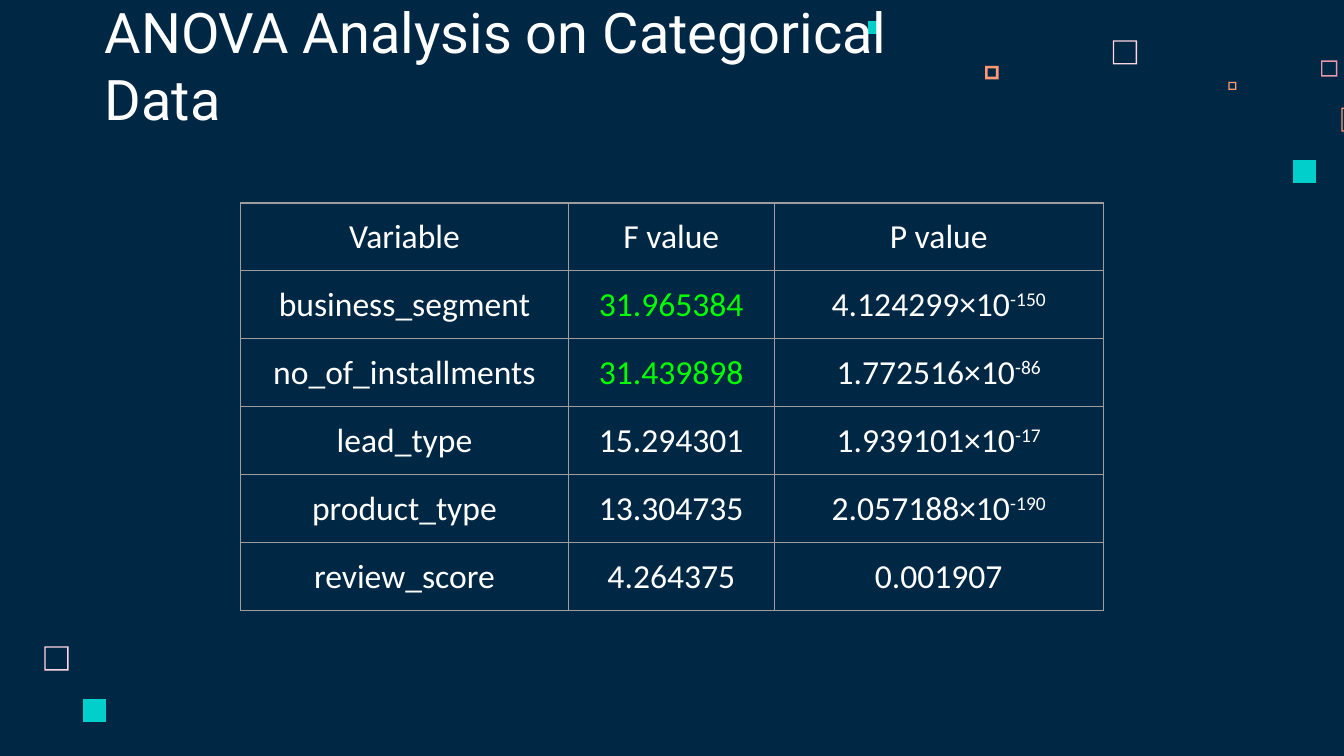
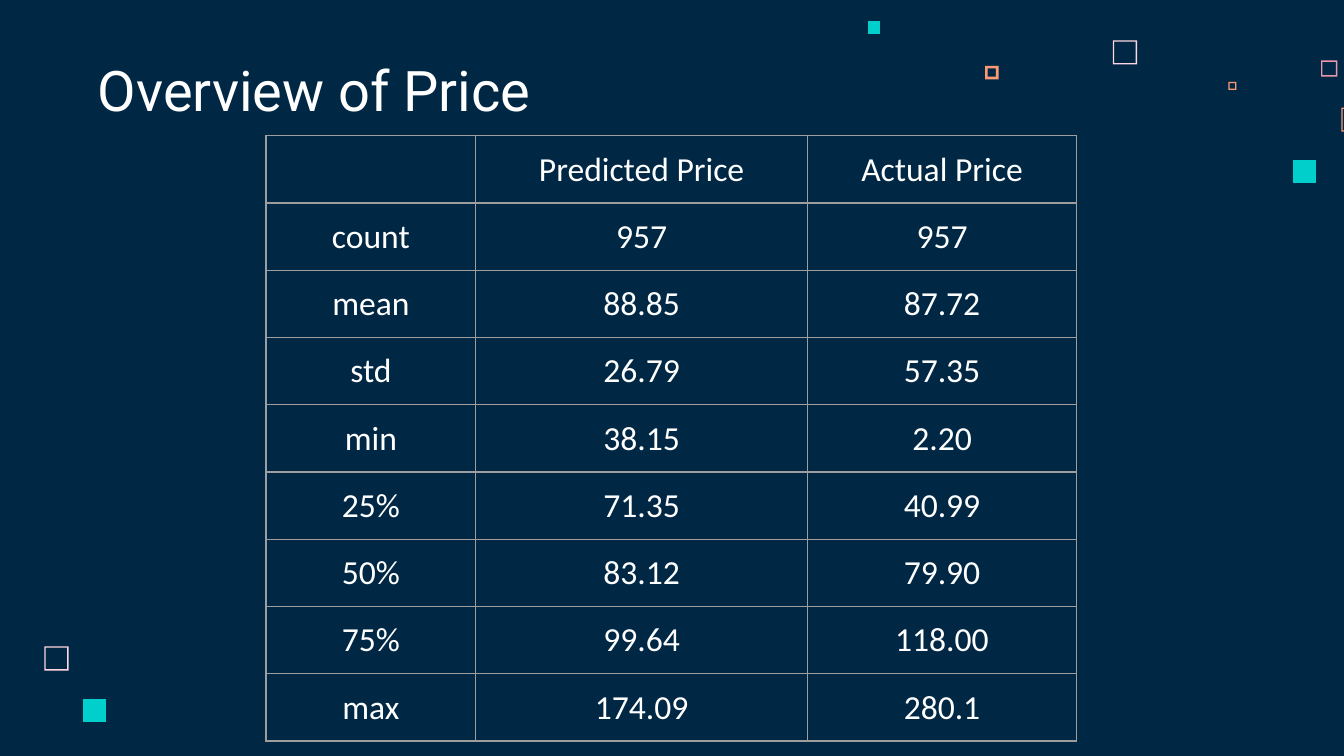
"""Build the two result slides: the ANOVA table and the price overview."""
from dataclasses import dataclass

from lxml.etree import SubElement
from pptx import Presentation
from pptx.dml.color import RGBColor
from pptx.enum.text import MSO_ANCHOR as Anchor, PP_ALIGN as Align
from pptx.oxml.ns import qn
from pptx.slide import Slide
from pptx.table import _Cell as Cell
from pptx.util import Inches, Pt

NAVY, WHITE, GREY, GREEN = "002845", "FFFFFF", "9E9E9E", "00FF00"
TEAL, ORANGE, PINK, ROSE = "00CFCC", "FF9973", "FFD6E1", "E898AC"
TITLE_FONT, TABLE_FONT = "Roboto", "Calibri"
INSET = Inches(0.1)
TABLE_FRAME = Inches(3.28)


@dataclass(frozen=True)
class Square:
    """A decorative square, hollow when it has a rim."""
    left: float
    top: float
    side: float
    color: str
    rim: float = 0


@dataclass(frozen=True)
class Page:
    """A title with the table below it."""
    title: str
    title_left: float
    title_top: float
    title_width: float
    table_left: float
    table_top: float
    column_widths: tuple[float, ...]
    row_height: float
    rows: tuple[tuple[str, ...], ...]
    highlights: tuple[str, ...] = ()


SQUARES = (
    Square(8.28, 0.3, 0.18, PINK, 0.01),
    Square(9.83, 0.45, 0.12, ROSE, 0.01),
    Square(9.14, 0.61, 0.06, ORANGE, 0.01),
    Square(9.98, 0.8, 0.18, ORANGE, 0.01),
    Square(9.62, 1.19, 0.17, TEAL),
    Square(7.33, 0.49, 0.1, ORANGE, 0.02),
    Square(6.46, 0.16, 0.09, TEAL),
    Square(0.33, 4.81, 0.18, PINK, 0.01),
    Square(0.62, 5.2, 0.17, TEAL),
)

ANOVA = Page(
    "ANOVA Analysis on Categorical Data", 0.68, 0.45, 6.42,
    1.79, 1.51, (2.44, 1.53, 2.45), 0.42,
    (
        ("Variable", "F value", "P value"),
        ("business_segment", "31.965384", "4.124299×10^-150"),
        ("no_of_installments", "31.439898", "1.772516×10^-86"),
        ("lead_type", "15.294301", "1.939101×10^-17"),
        ("product_type", "13.304735", "2.057188×10^-190"),
        ("review_score", "4.264375", "0.001907"),
    ),
    highlights=("31.965384", "31.439898"),
)

PRICE = Page(
    "Overview of Price", 0.63, 0.38, 5.17,
    1.98, 1.01, (1.56, 2.47, 2), 0.48,
    (
        ("", "Predicted Price", "Actual Price"),
        ("count", "957", "957"),
        ("mean", "88.85", "87.72"),
        ("std", "26.79", "57.35"),
        ("min", "38.15", "2.20"),
        ("25%", "71.35", "40.99"),
        ("50%", "83.12", "79.90"),
        ("75%", "99.64", "118.00"),
        ("max", "174.09", "280.1"),
    ),
)


def rgb(color: str) -> RGBColor:
    """Turn a hex string into a colour."""
    return RGBColor.from_string(color)


def add_run(paragraph, text: str, font: str, size: float, color: str):
    """Append one styled run and return it."""
    run = paragraph.add_run()
    run.text = text
    run.font.name = font
    run.font.size = Pt(size)
    run.font.color.rgb = rgb(color)
    return run


def set_insets(holder) -> None:
    """Give a text frame or cell the same margin on all sides."""
    holder.margin_left = holder.margin_right = INSET
    holder.margin_top = holder.margin_bottom = INSET


def draw_square(slide: Slide, square: Square) -> None:
    """Draw a square, with a hole wound the other way if it has a rim."""
    left, top = Inches(square.left), Inches(square.top)
    right, bottom = left + Inches(square.side), top + Inches(square.side)
    outline = slide.shapes.build_freeform(left, top)
    outline.add_line_segments([(left, bottom), (right, bottom), (right, top)])
    if square.rim:
        rim = Inches(square.rim)
        left, top, right, bottom = left + rim, top + rim, right - rim, bottom - rim
        outline.move_to(right, top)
        outline.add_line_segments([(right, bottom), (left, bottom), (left, top)])
    shape = outline.convert_to_shape()
    shape.shadow.inherit = False
    shape.fill.solid()
    shape.fill.fore_color.rgb = rgb(square.color)
    shape.line.fill.background()


def draw_title(slide: Slide, page: Page) -> None:
    """Draw the title, sitting on the bottom of its box."""
    box = slide.shapes.add_textbox(
        Inches(page.title_left), Inches(page.title_top),
        Inches(page.title_width), Inches(0.63))
    frame = box.text_frame
    frame.word_wrap = True
    frame.vertical_anchor = Anchor.BOTTOM
    set_insets(frame)
    add_run(frame.paragraphs[0], page.title, TITLE_FONT, 30, WHITE)


def add_borders(cell: Cell) -> None:
    """Draw a thin grey line on each side of a cell."""
    properties = cell._tc.get_or_add_tcPr()
    for side in ("a:lnL", "a:lnR", "a:lnT", "a:lnB"):
        border = SubElement(properties, qn(side), w=str(Pt(0.75)))
        fill = SubElement(border, qn("a:solidFill"))
        SubElement(fill, qn("a:srgbClr"), val=GREY)


def fill_cell(cell: Cell, text: str, color: str) -> None:
    """Style a cell and write its text, raising what follows a caret."""
    set_insets(cell)
    add_borders(cell)
    cell.fill.background()
    paragraph = cell.text_frame.paragraphs[0]
    paragraph.alignment = Align.CENTER
    base, _, exponent = text.partition("^")
    if base:
        add_run(paragraph, base, TABLE_FONT, 18, color)
    if exponent:
        raised = add_run(paragraph, exponent, TABLE_FONT, 18, color)
        raised._r.get_or_add_rPr().set("baseline", "30000")


def draw_table(slide: Slide, page: Page) -> None:
    """Draw the table with an unfilled grid that grows out of its frame."""
    holder = slide.shapes.add_table(
        len(page.rows), len(page.column_widths),
        Inches(page.table_left), Inches(page.table_top),
        TABLE_FRAME, TABLE_FRAME)
    table = holder.table
    table.first_row = table.horz_banding = False
    for column, width in zip(table.columns, page.column_widths):
        column.width = Inches(width)
    for row, texts in zip(table.rows, page.rows):
        row.height = Inches(page.row_height)
        for cell, text in zip(row.cells, texts):
            fill_cell(cell, text, GREEN if text in page.highlights else WHITE)
    holder.width = holder.height = TABLE_FRAME


def add_page(deck, page: Page) -> None:
    """Add a slide with the shared backdrop, its table and its title."""
    slide = deck.slides.add_slide(deck.slide_layouts[6])
    slide.background.fill.solid()
    slide.background.fill.fore_color.rgb = rgb(NAVY)
    for square in SQUARES:
        draw_square(slide, square)
    draw_table(slide, page)
    draw_title(slide, page)


def main() -> None:
    """Build and save the widescreen deck."""
    deck = Presentation()
    deck.slide_width = Inches(10)
    deck.slide_height = deck.slide_width * 9 // 16
    for page in (ANOVA, PRICE):
        add_page(deck, page)
    deck.save("out.pptx")


if __name__ == "__main__":
    main()
